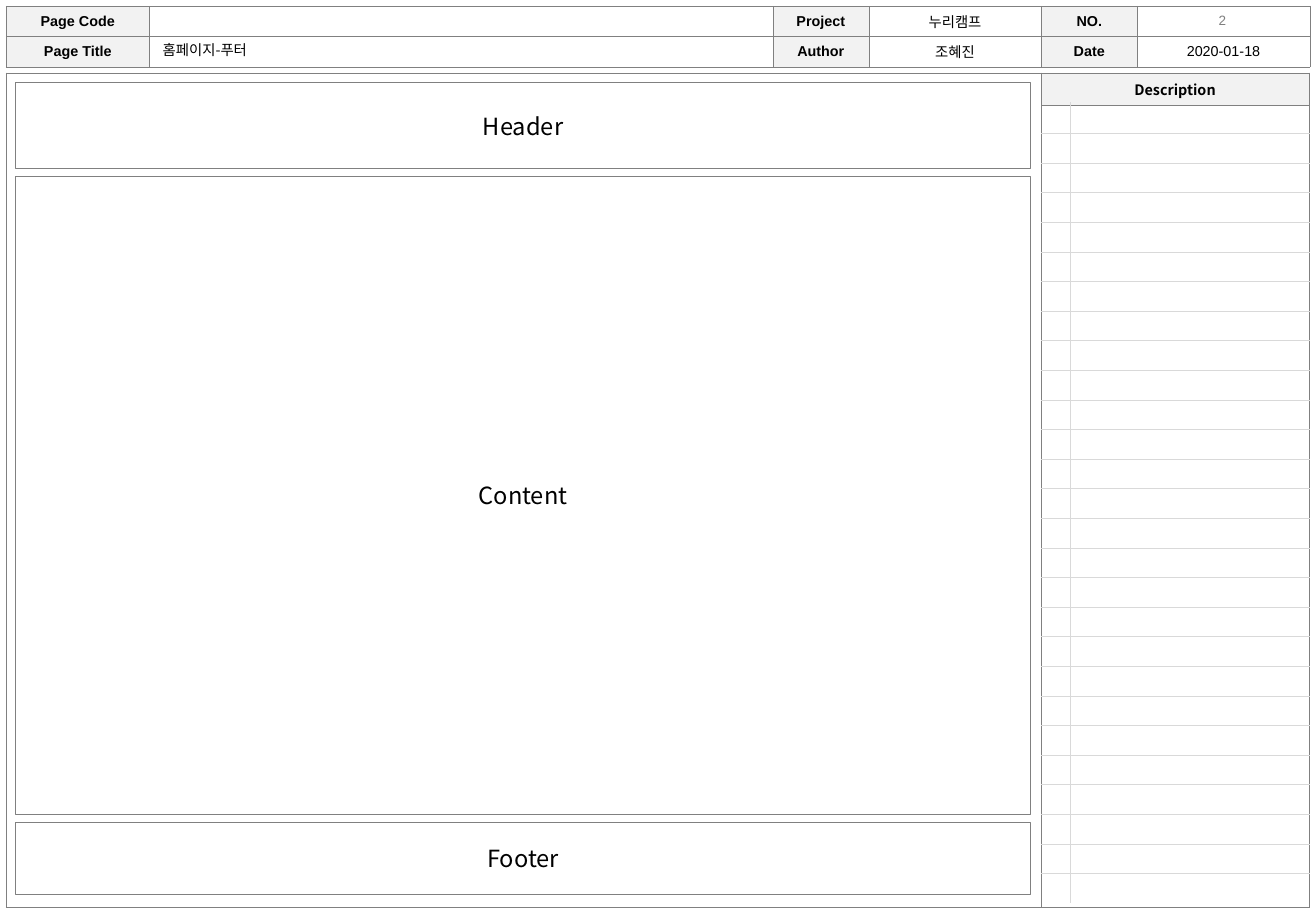
from dataclasses import dataclass

from lxml.etree import SubElement
from pptx import Presentation
from pptx.dml.color import RGBColor
from pptx.enum.shapes import MSO_SHAPE as Preset
from pptx.enum.text import MSO_ANCHOR as Anchor, PP_ALIGN as Align
from pptx.oxml.ns import qn
from pptx.util import Inches, Pt


@dataclass(frozen=True)
class Theme:
    black: str = "000000"
    white: str = "FFFFFF"
    label_fill: str = "F2F2F2"
    frame_line: str = "808080"
    grid_line: str = "D9D9D9"
    number: str = "7F7F7F"
    latin: str = "Arial"
    korean: str = "Noto Sans CJK KR"
    small: float = 8
    body: float = 8.5
    region: float = 14
    thin: float = 0.25
    regular: float = 0.5


THEME = Theme()


@dataclass(frozen=True)
class TextStyle:
    font: str = THEME.latin
    size: float = THEME.body
    color: str = THEME.black
    bold: bool = False
    align: Align = Align.CENTER


@dataclass(frozen=True)
class Box:
    left: float
    top: float
    width: float
    height: float

    def place(self) -> tuple:
        return tuple(Inches(n) for n in (self.left, self.top, self.width, self.height))


@dataclass(frozen=True)
class Region:
    text: str
    top: float
    height: float


@dataclass(frozen=True)
class Border:
    color: str
    width: float


FRAME = Border(THEME.frame_line, THEME.thin)
GRID = Border(THEME.grid_line, THEME.regular)
VALUE = TextStyle()
LABEL = TextStyle(bold=True)
DESCRIPTION = TextStyle(font=THEME.korean, bold=True)
TITLE = TextStyle(font=THEME.korean, align=Align.LEFT)
NUMBER = TextStyle(size=THEME.small, color=THEME.number)
REGION = TextStyle(font=THEME.korean, size=THEME.region)


def write_text(frame, text: str, style: TextStyle) -> None:
    paragraph = frame.paragraphs[0]
    paragraph.alignment = style.align
    if not text:
        SubElement(paragraph._p, qn("a:endParaRPr"), sz=str(int(style.size * 100)))
        return
    paragraph.text = text
    font = paragraph.font
    font.name, font.size, font.bold = style.font, Pt(style.size), style.bold
    font.color.rgb = RGBColor.from_string(style.color)
    font._element.find(qn("a:latin")).addnext(
        font._element.makeelement(qn("a:ea"), {"typeface": THEME.korean}))


def set_borders(cell, border: Border, sides: str) -> None:
    properties = cell._tc.get_or_add_tcPr()
    for side in "LRTB":
        line = SubElement(properties, qn(f"a:ln{side}"), w=str(Pt(border.width)))
        if side in sides:
            fill = SubElement(line, qn("a:solidFill"))
            SubElement(fill, qn("a:srgbClr"), val=border.color)
        else:
            SubElement(line, qn("a:noFill"))


def fill_cell(cell, text: str, style: TextStyle, border: Border, sides: str) -> None:
    cell.vertical_anchor = Anchor.MIDDLE
    cell.margin_left = cell.margin_right = Inches(0.04)
    cell.margin_top = cell.margin_bottom = Inches(0.04)
    set_borders(cell, border, sides)
    if style.bold and text:
        cell.fill.solid()
        cell.fill.fore_color.rgb = RGBColor.from_string(THEME.label_fill)
    else:
        cell.fill.background()
    write_text(cell.text_frame, text, style)


def add_grid(slide, left: float, top: float, columns: list[float], rows: list[float]):
    box = Box(left, top, sum(columns), sum(rows))
    table = slide.shapes.add_table(len(rows), len(columns), *box.place()).table
    table.first_row = table.horz_banding = False
    for column, width in zip(table.columns, columns):
        column.width = Inches(width)
    for row, height in zip(table.rows, rows):
        row.height = Inches(height)
    return table


def add_page_frame(slide) -> None:
    table = add_grid(slide, 0.05, 0.6, [8.52, 2.2], [0.27, 6.6])
    fill_cell(table.cell(0, 0), "", VALUE, FRAME, "LRT")
    fill_cell(table.cell(0, 1), "Description", DESCRIPTION, FRAME, "LRTB")
    fill_cell(table.cell(1, 0), "", VALUE, FRAME, "LRB")
    fill_cell(table.cell(1, 1), "", VALUE, FRAME, "LRTB")


def add_page_info(slide) -> None:
    rows = [
        ["Page Code", "", "Project", "누리캠프", "NO.", ""],
        ["Page Title", "", "Author", "조혜진", "Date", "2020-01-18"],
    ]
    columns = [1.18, 5.13, 0.79, 1.42, 0.79, 1.42]
    table = add_grid(slide, 0.05, 0.05, columns, [0.25] * len(rows))
    for row, texts in enumerate(rows):
        for column, text in enumerate(texts):
            style = VALUE if column % 2 else LABEL
            fill_cell(table.cell(row, column), text, style, FRAME, "LRTB")


def add_description_grid(slide) -> None:
    heights = [0.26] + [0.244] * 26
    table = add_grid(slide, 8.57, 0.84, [0.24, 1.97], heights)
    last = len(heights) - 1
    for row in range(len(heights)):
        sides = ("T" if row > 0 else "") + ("B" if row < last else "")
        for column, inner in enumerate("RL"):
            fill_cell(table.cell(row, column), "", VALUE, GRID, sides + inner)


def add_region(slide, region: Region) -> None:
    box = Box(0.13, region.top, 8.35, region.height)
    shape = slide.shapes.add_shape(Preset.RECTANGLE, *box.place())
    shape.shadow.inherit = False
    shape.fill.solid()
    shape.fill.fore_color.rgb = RGBColor.from_string(THEME.white)
    shape.line.color.rgb = RGBColor.from_string(THEME.frame_line)
    shape.line.width = Pt(THEME.regular)
    shape.text_frame.vertical_anchor = Anchor.MIDDLE
    write_text(shape.text_frame, region.text, REGION)


def add_text(slide, box: Box, text: str, style: TextStyle) -> None:
    frame = slide.shapes.add_textbox(*box.place()).text_frame
    frame.word_wrap = True
    write_text(frame, text, style)


def main() -> None:
    presentation = Presentation()
    presentation.slide_width, presentation.slide_height = Inches(10.83), Inches(7.5)
    slide = presentation.slides.add_slide(presentation.slide_layouts[6])
    add_page_frame(slide)
    add_page_info(slide)
    add_text(slide, Box(9.35, 0.05, 1.42, 0.24), "2", NUMBER)
    for region in (Region("Header", 0.68, 0.71), Region("Content", 1.45, 5.26),
                   Region("Footer", 6.77, 0.59)):
        add_region(slide, region)
    add_description_grid(slide)
    add_text(slide, Box(1.24, 0.29, 5.12, 0.24), "홈페이지-푸터", TITLE)
    presentation.save("out.pptx")


main()
